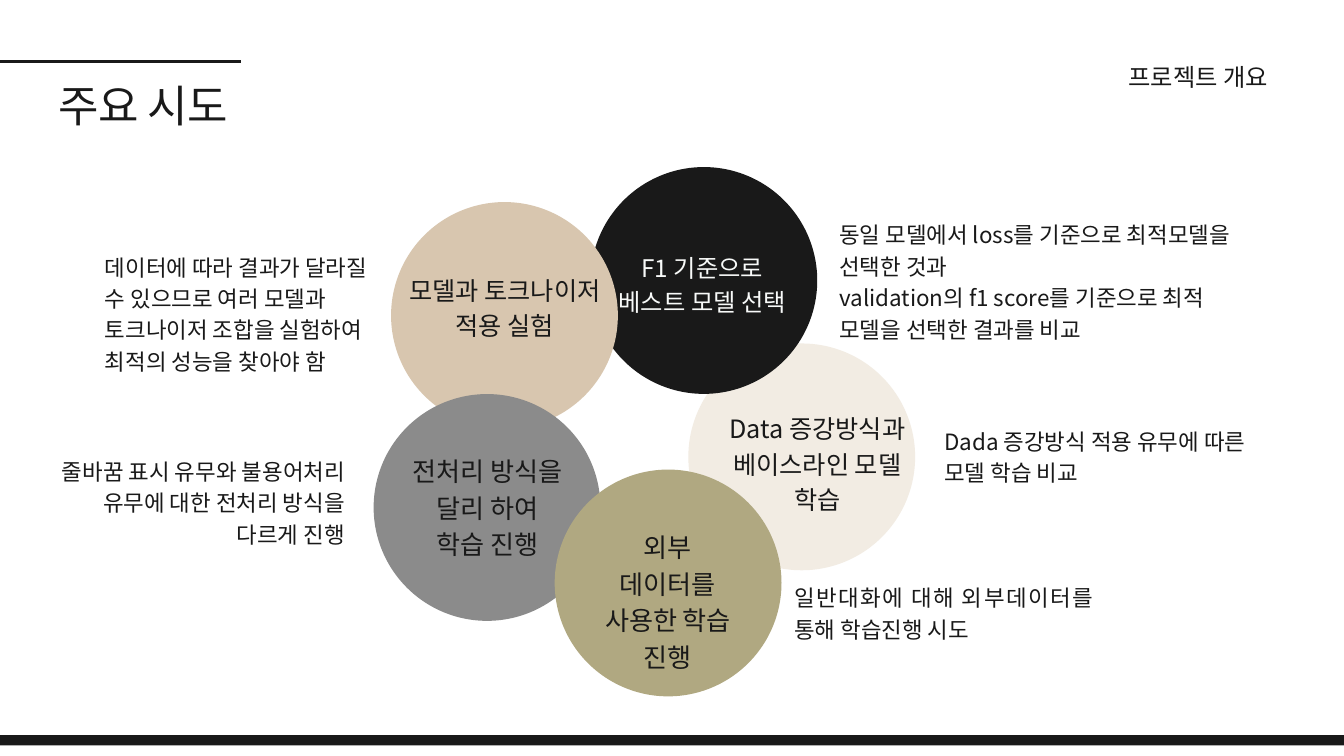
"""Build the slide on the main experiments of a project."""
from dataclasses import dataclass

from lxml.etree import SubElement
from pptx import Presentation
from pptx.dml.color import RGBColor
from pptx.enum.shapes import MSO_CONNECTOR, MSO_SHAPE
from pptx.enum.text import MSO_ANCHOR, MSO_AUTO_SIZE, PP_ALIGN
from pptx.oxml.ns import qn
from pptx.util import Pt


@dataclass(frozen=True)
class Theme:
    font: str = "Noto Sans CJK KR"
    ink: str = "191919"
    light: str = "F8FAF9"
    cream: str = "F2ECE3"
    sand: str = "D8C6AF"
    grey: str = "8B8B8B"
    olive: str = "B0A881"
    title: float = 47.1
    section: float = 26
    label: float = 27
    large_label: float = 28
    body: float = 24
    leading: float = 1.4


THEME = Theme()
DIAMETER = 243
LEFT, CENTER, RIGHT = PP_ALIGN.LEFT, PP_ALIGN.CENTER, PP_ALIGN.RIGHT

CIRCLES = [
    (737.5, 368, THEME.cream),
    (632.6, 179, THEME.ink),
    (419, 216.5, THEME.sand),
    (400.3, 422.2, THEME.grey),
    (594.3, 503.1, THEME.olive),
]

LABELS = [
    ((625, 266.4, 255, 71), "F1 기준으로\n베스트 모델 선택", THEME.section, THEME.light),
    ((437.8, 289.4, 206, 112), "모델과 토크나이저\n적용 실험", THEME.label, THEME.ink),
    ((772.6, 437.8, 206, 112), "Data 증강방식과 베이스라인 모델 학습", THEME.label, THEME.ink),
    ((636.5, 563.8, 158.4, 117), "외부 데이터를 사용한 학습 진행", THEME.large_label, THEME.ink),
    ((429.8, 482.4, 184.3, 117), "전처리 방식을\n달리 하여\n학습 진행", THEME.large_label, THEME.ink),
]

NOTES = [
    ((112.3, 267.1, 288, 132.5),
     "데이터에 따라 결과가 달라질 수 있으므로 여러 모델과 토크나이저 조합을 실험하여 최적의 성능을 찾아야 함", LEFT),
    ((49, 486, 320.4, 99.4),
     "줄바꿈 표시 유무와 불용어처리 유무에 대한 전처리 방식을\n다르게 진행", RIGHT),
    ((899.3, 232.6, 450.7, 132.5),
     "동일 모델에서 loss를 기준으로 최적모델을\n선택한 것과\n"
     "validation의 f1 score를 기준으로 최적 모델을 선택한 결과를 비교", LEFT),
    ((851, 621.4, 320.4, 64.8),
     "일반대화에 대해 외부데이터를 통해 학습진행 시도", PP_ALIGN.JUSTIFY),
    ((1011.6, 453.6, 425, 64.8),
     "Dada 증강방식 적용 유무에 따른\n모델 학습 비교", LEFT),
]


def rgb(color):
    """Return a colour object for a hex string."""
    return RGBColor.from_string(color)


def write(sp, text, size, color, align, spacing=None):
    """Fill a text shape, one paragraph a line, in the theme font."""
    tf = sp.text_frame
    tf.text = text
    tf.word_wrap = True
    tf.auto_size = MSO_AUTO_SIZE.NONE
    tf.vertical_anchor = MSO_ANCHOR.TOP
    tf.margin_left = tf.margin_top = tf.margin_right = tf.margin_bottom = 0
    for p in tf.paragraphs:
        p.alignment = align
        p.line_spacing = Pt(size * THEME.leading)
        p.space_before = Pt(0)
        for r in p.runs:
            r.font.size = Pt(size)
            r.font.name = THEME.font
            r.font.color.rgb = rgb(color)
            rpr = r.font._element
            SubElement(rpr, qn("a:ea")).set("typeface", THEME.font)
            if spacing is not None:
                rpr.set("spc", str(spacing))


def add_text(s, box, text, size, color, align):
    """Add a text box at a box of left, top, width and height."""
    sp = s.shapes.add_textbox(*map(Pt, box))
    write(sp, text, size, color, align)


def add_title(s, box, text):
    """Place and format the title placeholder."""
    sp = s.shapes.title
    sp.left, sp.top, sp.width, sp.height = map(Pt, box)
    write(sp, text, THEME.title, THEME.ink, CENTER, spacing=-70)


def add_filled(s, kind, box, color):
    """Add a preset shape with a plain fill and no outline."""
    sp = s.shapes.add_shape(kind, *map(Pt, box))
    sp.shadow.inherit = False
    sp.fill.solid()
    sp.fill.fore_color.rgb = rgb(color)
    sp.line.fill.background()


def add_rule(s, x1, y1, x2, y2):
    """Add a straight rule."""
    line = s.shapes.add_connector(MSO_CONNECTOR.STRAIGHT, *map(Pt, (x1, y1, x2, y2)))
    line.line.color.rgb = rgb(THEME.ink)
    line.line.width = Pt(3)
    SubElement(line._element.spPr, qn("a:effectLst"))


def main():
    """Build and save the slide."""
    prs = Presentation()
    prs.slide_width, prs.slide_height = Pt(1440), Pt(810)
    s = prs.slides.add_slide(prs.slide_layouts[5])
    add_title(s, (49, 74.2, 209.5, 62.6), "주요 시도")
    add_filled(s, MSO_SHAPE.RECTANGLE, (0, 787.6, 1440, 11), THEME.ink)
    add_rule(s, 0, 65.5, 257.8, 65.5)
    add_text(s, (1053.4, 61.2, 305.3, 35.3), "프로젝트 개요", THEME.section, THEME.ink, RIGHT)
    for left, top, color in CIRCLES:
        add_filled(s, MSO_SHAPE.OVAL, (left, top, DIAMETER, DIAMETER), color)
    for box, text, size, color in LABELS:
        add_text(s, box, text, size, color, CENTER)
    for box, text, align in NOTES:
        add_text(s, box, text, THEME.body, THEME.ink, align)
    prs.save("out.pptx")


if __name__ == "__main__":
    main()
